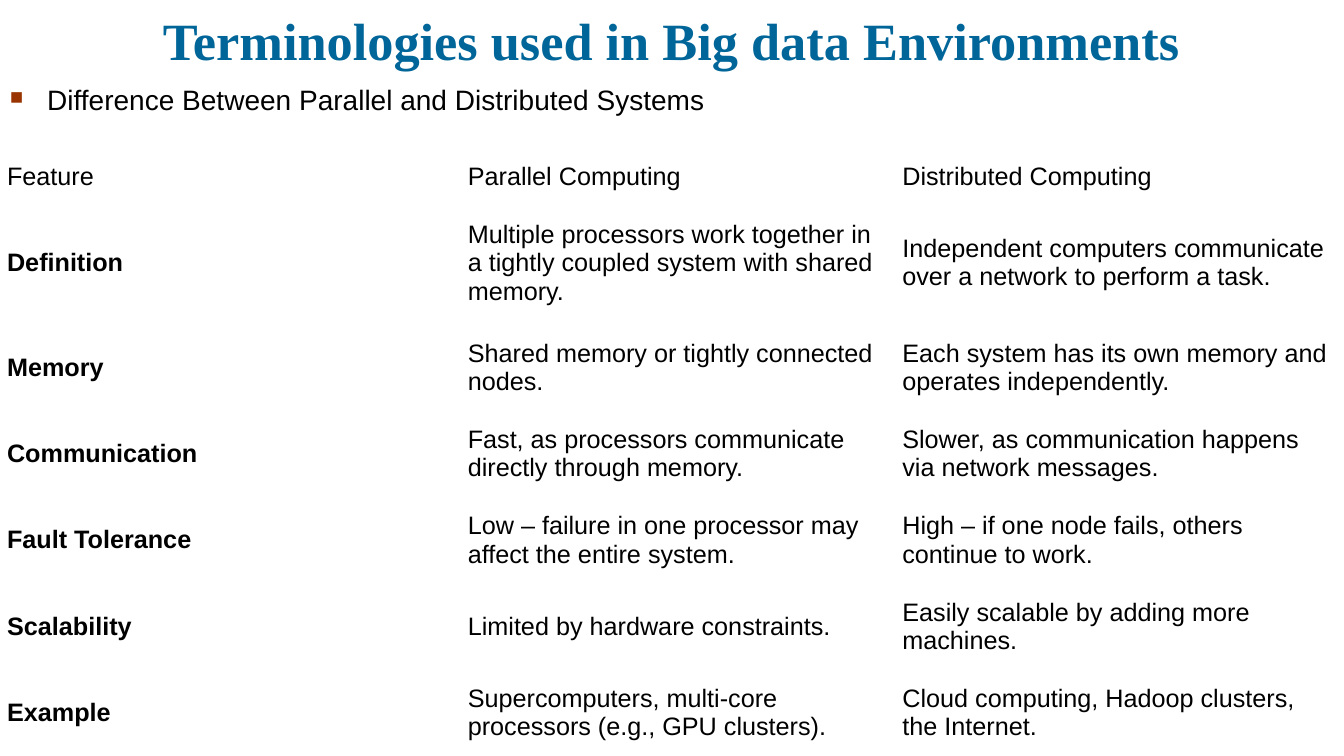
from pptx import Presentation
from pptx.dml.color import RGBColor
from pptx.enum import text
from pptx.oxml import parse_xml
from pptx.oxml import ns
from pptx.util import Inches, Pt

COLORS = {"title": "006699", "body": "000000", "bullet": "993300"}


def style(paragraph, size, font, color, bold=False):
    for run in paragraph.runs:
        run.font.size = Pt(size)
        run.font.name = font
        run.font.bold = bold
        run.font.color.rgb = RGBColor.from_string(COLORS[color])


def add_text(left, top, width, height, content, anchor):
    frame = slide.shapes.add_textbox(
        Inches(left), Inches(top), Inches(width), Inches(height)).text_frame
    frame.word_wrap = True
    frame.vertical_anchor = anchor
    frame.text = content
    return frame.paragraphs[0]


presentation = Presentation()
presentation.slide_width = Inches(13.33)
presentation.slide_height = Inches(7.5)
slide = presentation.slides.add_slide(presentation.slide_layouts[6])

# Title
title = add_text(0, 0, 13.33, 0.76, "Terminologies used in Big data Environments",
                 text.MSO_ANCHOR.BOTTOM)
title.alignment = text.PP_ALIGN.CENTER
title.line_spacing = 0.9
style(title, 37.4, "Times New Roman", "title", bold=True)

# Bulleted subtitle
subtitle = add_text(0, 0.76, 13.33, 0.46,
                    "Difference Between Parallel and Distributed Systems",
                    text.MSO_ANCHOR.MIDDLE)
properties = subtitle._p.get_or_add_pPr()
properties.set("marL", str(Inches(0.37)))
properties.set("indent", str(-Inches(0.37)))
for element in (f'<a:buClr {ns.nsdecls("a")}><a:srgbClr val="{COLORS["bullet"]}"/></a:buClr>',
                f'<a:buSzPct {ns.nsdecls("a")} val="65000"/>',
                f'<a:buFont {ns.nsdecls("a")} typeface="Wingdings" charset="2"/>',
                f'<a:buChar {ns.nsdecls("a")} char="n"/>'):
    properties.append(parse_xml(element))
style(subtitle, 20, "Arial", "body")

# Comparison table
rows = [
    ("Feature", "Parallel Computing", "Distributed Computing"),
    ("Definition",
     "Multiple processors work together in a tightly coupled system with shared memory.",
     "Independent computers communicate over a network to perform a task."),
    ("Memory",
     "Shared memory or tightly connected nodes.",
     "Each system has its own memory and operates independently."),
    ("Communication",
     "Fast, as processors communicate directly through memory.",
     "Slower, as communication happens via network messages."),
    ("Fault Tolerance",
     "Low – failure in one processor may affect the entire system.",
     "High – if one node fails, others continue to work."),
    ("Scalability",
     "Limited by hardware constraints.",
     "Easily scalable by adding more machines."),
    ("Example",
     "Supercomputers, multi-core processors (e.g., GPU clusters).",
     "Cloud computing, Hadoop clusters, the Internet."),
]
column_widths = [4.57, 4.31, 4.44]
row_heights = [0.49, 1.22, 0.86, 0.85, 0.86, 0.85, 0.86]

table = slide.shapes.add_table(len(rows), len(column_widths), Inches(-0.03), Inches(1.51),
                               Inches(13.33), Inches(5.99)).table
table.first_row = False
table.horz_banding = False
for column, width in zip(table.columns, column_widths):
    column.width = Inches(width)
for row_index, (row, height) in enumerate(zip(rows, row_heights)):
    table.rows[row_index].height = Inches(height)
    for column_index, content in enumerate(row):
        cell = table.cell(row_index, column_index)
        cell.fill.background()
        cell.vertical_anchor = text.MSO_ANCHOR.MIDDLE
        cell.text_frame.text = content
        style(cell.text_frame.paragraphs[0], 18, "Arial", "body",
              bold=row_index > 0 and column_index == 0)

presentation.save("out.pptx")
